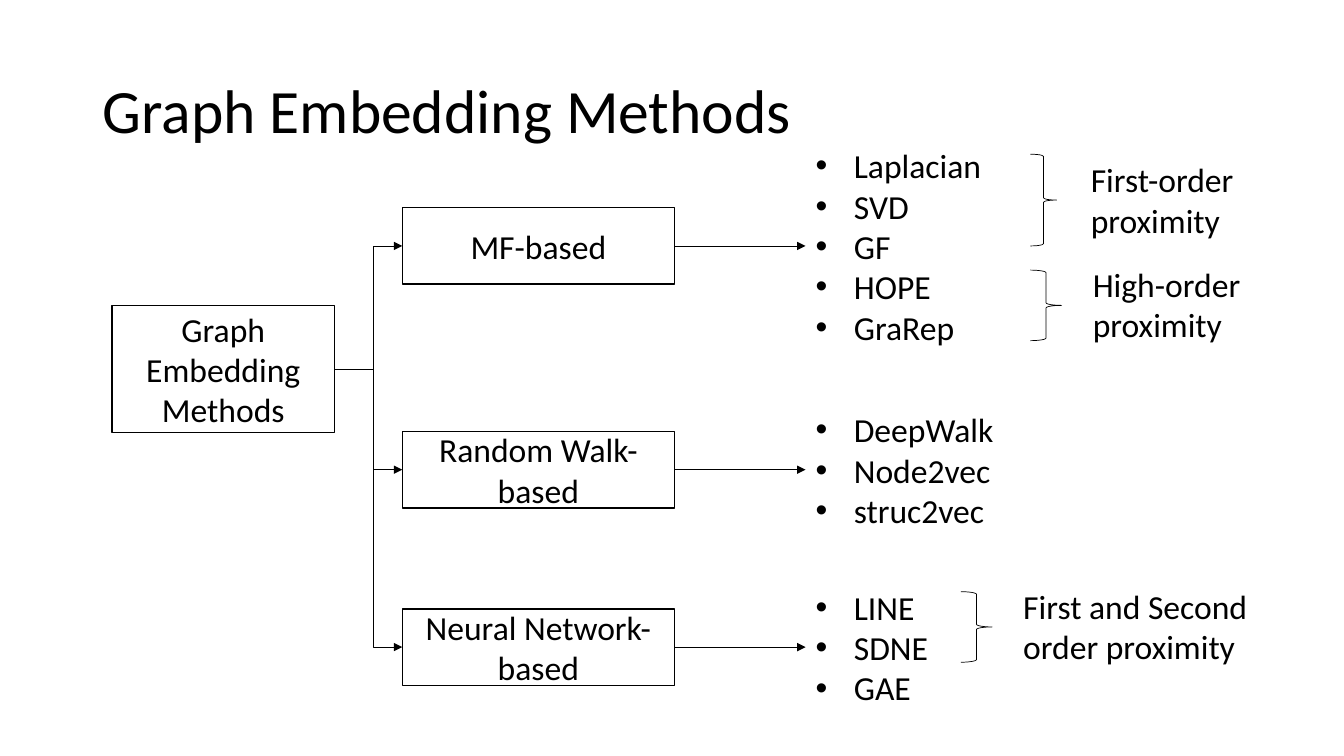
from dataclasses import dataclass

from lxml.etree import SubElement
from pptx import Presentation
from pptx.dml.color import RGBColor
from pptx.enum.shapes import MSO_CONNECTOR as Link, MSO_SHAPE as Preset
from pptx.enum.text import MSO_ANCHOR as Anchor, MSO_AUTO_SIZE as AutoSize, PP_ALIGN as Align
from pptx.oxml.ns import qn
from pptx.shapes.autoshape import Shape
from pptx.shapes.connector import Connector
from pptx.util import Inches, Pt

BLACK = RGBColor(0x00, 0x00, 0x00)
WHITE = RGBColor(0xFF, 0xFF, 0xFF)
FONT = "Calibri"
BULLET_INDENT = Inches(0.38)
LEFT, RIGHT = 1, 3  # connection sites of a rectangle
TRUNK_BEND = 0.567  # share of the way from the root to a family


@dataclass(frozen=True)
class Area:
    left: float
    top: float
    width: float
    height: float

    def lengths(self) -> list[int]:
        return [Inches(v) for v in (self.left, self.top, self.width, self.height)]


@dataclass(frozen=True)
class Family:
    name: str
    middle: float
    methods: tuple[str, ...]
    list_width: float
    list_height: float


@dataclass(frozen=True)
class Proximity:
    label: str
    label_area: Area
    brace_area: Area


TITLE_AREA = Area(0.92, 0.4, 11.5, 1.45)
ROOT_AREA = Area(1.11, 3.03, 2.21, 1.26)
FAMILY_LEFT, FAMILY_WIDTH, FAMILY_HEIGHT = 3.99, 2.7, 0.76
LIST_LEFT = 7.99

FAMILIES = (
    Family("MF-based", 2.44, ("Laplacian", "SVD", "GF", "HOPE", "GraRep"), 1.99, 2.2),
    Family("Random Walk-based", 4.66, ("DeepWalk", "Node2vec", "struc2vec"), 2.02, 1.44),
    Family("Neural Network-based", 6.42, ("LINE", "SDNE", "GAE"), 1.99, 1.57),
)
PROXIMITIES = (
    Proximity("First-order proximity", Area(10.72, 1.53, 2.09, 0.91), Area(10.22, 1.53, 0.26, 0.91)),
    Proximity("High-order proximity", Area(10.74, 2.57, 2.09, 0.91), Area(10.22, 2.68, 0.31, 0.7)),
    Proximity("First and Second order proximity", Area(10.05, 5.76, 2.61, 0.91), Area(9.53, 5.87, 0.31, 0.7)),
)

TITLE_FRAME = {"word_wrap": True, "vertical_anchor": Anchor.MIDDLE}
BOX_FRAME = {"word_wrap": True, "vertical_anchor": Anchor.MIDDLE}
LABEL_FRAME = {"word_wrap": True, "auto_size": AutoSize.SHAPE_TO_FIT_TEXT}

prs = Presentation()
prs.slide_width, prs.slide_height = Inches(13.33), Inches(7.5)
slide = prs.slides.add_slide(prs.slide_layouts[6])


def apply(target: object, values: dict[str, object]) -> None:
    for attribute, value in values.items():
        setattr(target, attribute, value)


def write(holder: Shape, lines: tuple[str, ...], frame_format: dict[str, object],
          paragraph_format: dict[str, object], size: int = 24) -> None:
    frame = holder.text_frame
    apply(frame, frame_format)
    frame.text = "\n".join(lines)
    for paragraph in frame.paragraphs:
        apply(paragraph, paragraph_format)
        for run in paragraph.runs:
            apply(run.font, {"name": FONT, "size": Pt(size)})
            run.font.color.rgb = BLACK


def add_text(area: Area, text: str, frame_format: dict[str, object],
             paragraph_format: dict[str, object], size: int = 24) -> None:
    holder = slide.shapes.add_textbox(*area.lengths())
    write(holder, (text,), frame_format, paragraph_format, size)


def add_box(area: Area, lines: tuple[str, ...], outline: RGBColor, align: Align) -> Shape:
    box = slide.shapes.add_shape(Preset.RECTANGLE, *area.lengths())
    box.shadow.inherit = False
    box.fill.solid()
    box.fill.fore_color.rgb = WHITE
    box.line.color.rgb = outline
    box.line.width = Pt(1)
    write(box, lines, BOX_FRAME, {"alignment": align})
    return box


def add_method_list(area: Area, methods: tuple[str, ...]) -> Shape:
    method_list = add_box(area, methods, WHITE, Align.LEFT)
    for paragraph in method_list.text_frame.paragraphs:
        properties = paragraph._p.get_or_add_pPr()
        properties.set("marL", str(BULLET_INDENT))
        properties.set("indent", str(-BULLET_INDENT))
        SubElement(properties, qn("a:buFont"), typeface="Arial")
        SubElement(properties, qn("a:buChar"), char="•")
    return method_list


def add_arrow(kind: Link, source: Shape, target: Shape) -> Connector:
    """Join the right side of source to the left side of target."""
    arrow = slide.shapes.add_connector(
        kind,
        source.left + source.width, source.top + source.height // 2,
        target.left, target.top + target.height // 2,
    )
    arrow.begin_connect(source, RIGHT)
    arrow.end_connect(target, LEFT)
    arrow.line.color.rgb = BLACK
    arrow.line.width = Pt(0.5)
    SubElement(arrow.line._get_or_add_ln(), qn("a:tailEnd"), type="triangle")
    SubElement(arrow._element.spPr, qn("a:effectLst"))
    return arrow


def add_branch(root: Shape, family_box: Shape) -> None:
    branch = add_arrow(Link.ELBOW, root, family_box)
    adjustments = branch._element.spPr.find(qn("a:prstGeom")).get_or_add_avLst()
    SubElement(adjustments, qn("a:gd"), name="adj1", fmla=f"val {round(TRUNK_BEND * 100000)}")


def add_proximity(proximity: Proximity) -> None:
    brace = slide.shapes.add_shape(Preset.RIGHT_BRACE, *proximity.brace_area.lengths())
    brace.shadow.inherit = False
    brace.fill.background()
    brace.line.color.rgb = BLACK
    brace.line.width = Pt(0.5)
    add_text(proximity.label_area, proximity.label, LABEL_FRAME, {"alignment": Align.LEFT})


def add_family(family: Family, root: Shape) -> None:
    family_area = Area(FAMILY_LEFT, family.middle - FAMILY_HEIGHT / 2, FAMILY_WIDTH, FAMILY_HEIGHT)
    list_area = Area(LIST_LEFT, family.middle - family.list_height / 2,
                     family.list_width, family.list_height)
    family_box = add_box(family_area, (family.name,), BLACK, Align.CENTER)
    method_list = add_method_list(list_area, family.methods)
    add_branch(root, family_box)
    add_arrow(Link.STRAIGHT, family_box, method_list)


def main() -> None:
    add_text(TITLE_AREA, "Graph Embedding Methods", TITLE_FRAME, {"line_spacing": 0.9}, size=44)
    root = add_box(ROOT_AREA, ("Graph Embedding Methods",), BLACK, Align.CENTER)
    for family in FAMILIES:
        add_family(family, root)
    for proximity in PROXIMITIES:
        add_proximity(proximity)
    prs.save("out.pptx")


if __name__ == "__main__":
    main()
